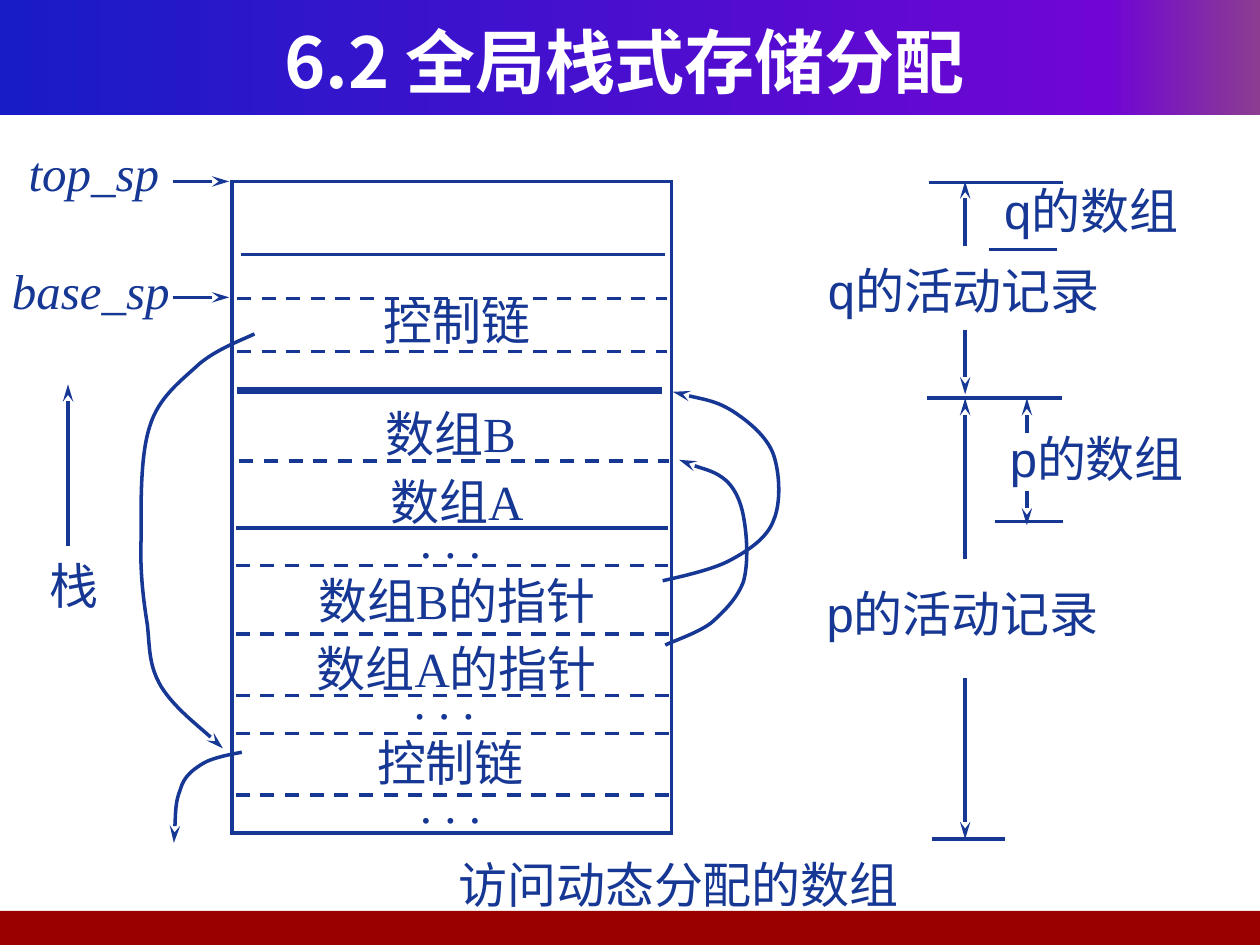
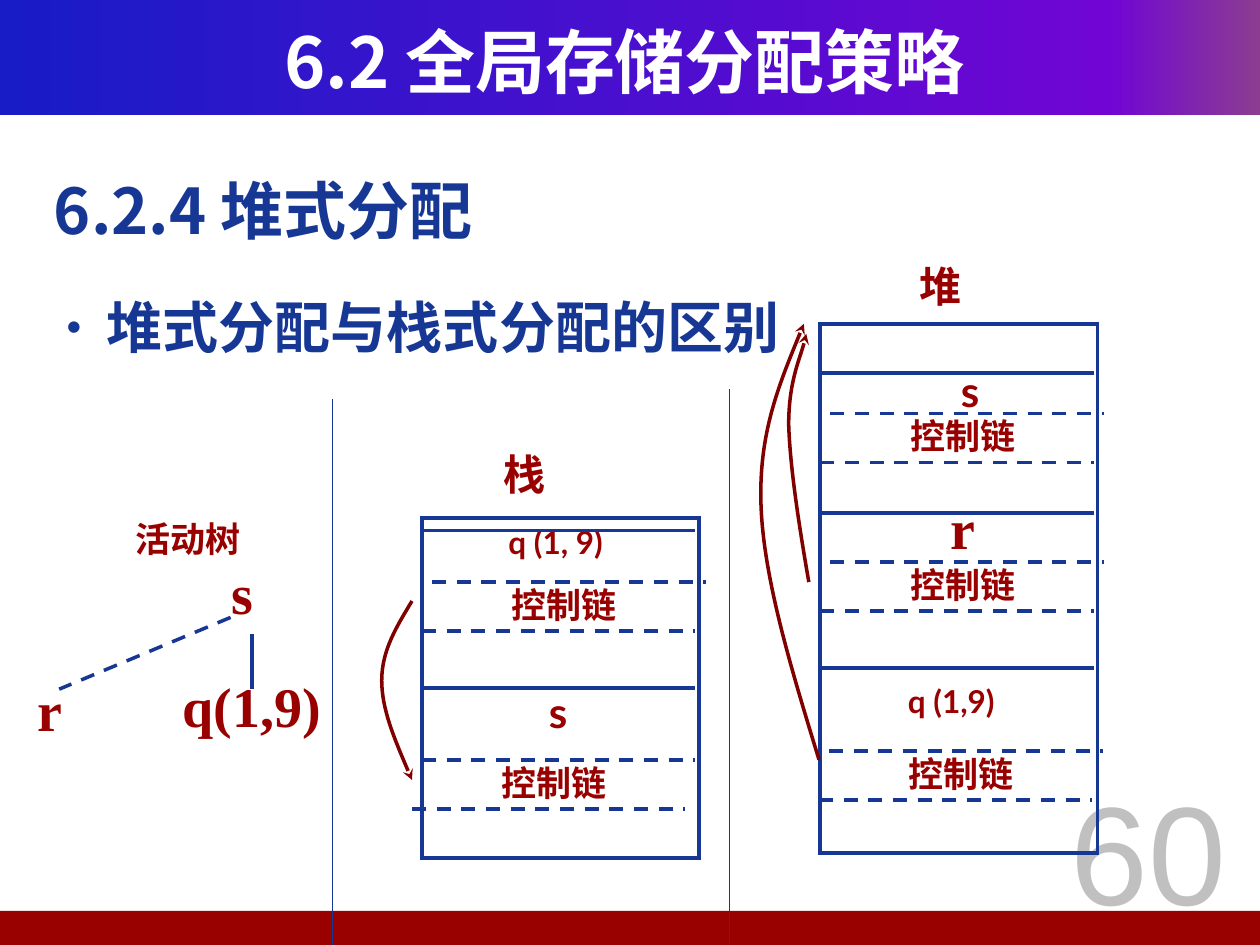
from copy import deepcopy

from lxml.etree import SubElement
from pptx import Presentation
from pptx.dml.color import RGBColor
from pptx.enum.dml import MSO_LINE_DASH_STYLE as Dash
from pptx.enum.shapes import MSO_CONNECTOR as Connector, MSO_SHAPE as Preset
from pptx.enum.text import MSO_ANCHOR as Anchor, PP_ALIGN as Align
from pptx.oxml.ns import qn
from pptx.util import Cm, Pt

BLUE, RED, MAROON = "163794", "990000", "800000"
WHITE, SILVER = "FFFFFF", "C0C0C0"
BAND = [(0, "181CC7"), (0.88, "7005D4"), (1, "8C3D91")]
SANS, LATO, TIMES, ARIAL = "Noto Sans CJK SC", "Lato", "Times New Roman", "Arial"
LINK_WIDTH, LINK_HEIGHT, LINK_SHIFT = 2.17, 0.39, 0.08


def inch(value):
    """Return a length given in inches."""
    return Cm(value * 2.54)


def rgb(value):
    """Return the colour of a hex string."""
    return RGBColor.from_string(value)


class Deck:
    """Hold the shared style and the current slide."""

    def __init__(self):
        """Create an empty presentation of 10 by 7.5 inches."""
        self.presentation = Presentation()
        self.presentation.slide_width = inch(10)
        self.presentation.slide_height = inch(7.5)
        self.slide = None
        self.arrow_length = "med"

    def add_slide(self, title, arrow_length):
        """Start a slide with the title band and the footer bar."""
        self.slide = self.presentation.slides.add_slide(self.presentation.slide_layouts[6])
        self.arrow_length = arrow_length
        band = self.box(0, 0, 10, 0.91)
        band.line.fill.background()
        band.fill.gradient()
        band.fill.gradient_angle = 0
        stops = band._element.spPr.find(".//" + qn("a:gsLst"))
        stops.append(deepcopy(stops[-1]))
        for stop, (position, color) in zip(band.fill.gradient_stops, BAND):
            stop.position = position
            stop.color.rgb = rgb(color)
        footer = self.box(-0.04, 7.23, 10.04, 0.27)
        footer.line.fill.background()
        footer.fill.solid()
        footer.fill.fore_color.rgb = rgb(RED)
        heading = self.text(title, 0.33, 0.17, 9.25, 0.62, 40, SANS, WHITE, bold=True)
        heading.text_frame.vertical_anchor = Anchor.MIDDLE

    def box(self, left, top, width, height):
        """Add an unfilled rectangle with a sharp blue outline."""
        shape = self.slide.shapes.add_shape(
            Preset.RECTANGLE, *map(inch, (left, top, width, height)))
        shape.shadow.inherit = False
        shape.fill.background()
        self.stroke(shape, BLUE, 2)
        SubElement(shape.line._get_or_add_ln(), qn("a:miter"), lim="800000")
        return shape

    def stroke(self, shape, color, weight, dashed=False, arrow=False):
        """Format the line of a shape or connector."""
        shape.line.color.rgb = rgb(color)
        shape.line.width = Pt(weight)
        if dashed:
            shape.line.dash_style = Dash.DASH
        if arrow:
            SubElement(shape.line._get_or_add_ln(), qn("a:tailEnd"), type="stealth",
                       w="med", len=self.arrow_length)

    def line(self, x1, y1, x2, y2, weight=2, dashed=False, arrow=False):
        """Add a straight blue connector."""
        connector = self.slide.shapes.add_connector(
            Connector.STRAIGHT, *map(inch, (x1, y1, x2, y2)))
        self.stroke(connector, BLUE, weight, dashed, arrow)
        SubElement(connector._element.spPr, qn("a:effectLst"))

    def curve(self, points, color=BLUE):
        """Add a curved arrow, three points to each cubic segment."""
        corners = [tuple(map(inch, point)) for point in points]
        builder = self.slide.shapes.build_freeform(*corners[0])
        builder.add_line_segments(corners[1:], close=False)
        shape = builder.convert_to_shape()
        outline = shape._element.spPr.find(".//" + qn("a:path" + "Lst"))[0]
        segments = outline.findall(qn("a:lnTo"))
        for index in range(0, len(segments), 3):
            cubic = SubElement(outline, qn("a:cubicBezTo"))
            for segment in segments[index:index + 3]:
                cubic.append(segment[0])
                outline.remove(segment)
        shape.shadow.inherit = False
        shape.fill.background()
        self.stroke(shape, color, 2, arrow=True)

    def text(self, words, left, top, width, height, size=28, font=TIMES, color=BLUE,
             bold=False, italic=False, align=Align.CENTER, inset=0.05):
        """Add a wrapped one-paragraph text box."""
        shape = self.slide.shapes.add_textbox(*map(inch, (left, top, width, height)))
        frame = shape.text_frame
        frame.word_wrap = True
        frame.margin_left = frame.margin_right = inch(0.1)
        frame.margin_top, frame.margin_bottom = inch(inset), inch(0.05)
        frame.text = words
        paragraph = frame.paragraphs[0]
        paragraph.alignment = align
        for run in paragraph.runs:
            run.font.size, run.font.name = Pt(size), font
            run.font.bold, run.font.italic = bold, italic
            run.font.color.rgb = rgb(color)
            SubElement(run.font._element, qn("a:ea"), typeface=SANS)
        return shape

    def bullet(self, words, left, top, width, height, size):
        """Add a bold line with a smaller bullet."""
        shape = self.text(words, left, top, width, height, size, SANS, bold=True,
                          align=Align.LEFT)
        paragraph = shape.text_frame.paragraphs[0]
        paragraph.line_spacing = 0.9
        properties = paragraph._p.get_or_add_pPr()
        properties.set("marL", str(inch(0.32)))
        properties.set("indent", str(-inch(0.32)))
        SubElement(properties, qn("a:buSzPct"), val="75000")
        SubElement(properties, qn("a:buFont"), typeface=ARIAL)
        SubElement(properties, qn("a:buChar"), char="•")

    def label(self, words, left, top, height=0.47, size=20, font=LATO):
        """Add a bold red centred cell label."""
        self.text(words, left, top, 2.1, height, size, font, RED, bold=True, inset=0.09)

    def caption(self, words, left, top, width, height, size, font):
        """Add a bold red left-aligned caption."""
        self.text(words, left, top, width, height, size, font, RED, bold=True,
                  align=Align.LEFT)

    def control_link(self, left, top):
        """Add a control link cell between two dashed lines."""
        self.label("控制链", left, top - 0.08, font=TIMES)
        for x, y in ((left, top), (left - LINK_SHIFT, top + LINK_HEIGHT)):
            self.line(x, y, x + LINK_WIDTH, y, dashed=True)


def build_dynamic_arrays(deck):
    """Build the slide on access to dynamically allocated arrays."""
    deck.add_slide("6.2 全局栈式存储分配", "lg")
    deck.text("访问动态分配的数组", 1.99, 6.73, 6.79, 0.56, font=ARIAL)

    for left, right, y in ((7.37, 8.44, 1.45), (7.85, 8.39, 1.98), (7.36, 8.43, 3.16),
                           (7.9, 8.44, 4.14), (7.4, 7.98, 6.66)):
        deck.line(left, y, right, y)
    for words, left, top, width, height in (("q的数组", 7.7, 1.34, 1.92, 0.54),
                                            ("q的活动记录", 6.43, 1.98, 2.44, 0.54),
                                            ("p的数组", 7.71, 3.31, 1.99, 0.54),
                                            ("p的活动记录", 6.43, 4.54, 2.42, 0.6)):
        deck.text(words, left, top, width, height, font=ARIAL, inset=0.09)
    for x, start, end in ((7.66, 1.95, 1.44), (7.66, 2.62, 3.13), (7.66, 4.44, 3.16),
                          (7.66, 5.38, 6.66), (8.15, 3.44, 3.16), (8.15, 3.9, 4.17),
                          (0.54, 4.33, 3.05)):
        deck.line(x, start, x, end, arrow=True)

    deck.box(1.84, 1.44, 3.49, 5.17)
    for words, left, top, height in (("控制链", 1.87, 2.22, 0.54), ("数组B", 1.82, 3.11, 0.58),
                                     ("数组A", 1.87, 3.65, 0.58), (". . .", 1.82, 3.95, 0.54),
                                     ("数组B的指针", 1.87, 4.44, 0.58),
                                     ("数组A的指针", 1.87, 4.98, 0.58),
                                     (". . .", 1.77, 5.23, 0.54), ("控制链", 1.82, 5.72, 0.54),
                                     (". . .", 1.82, 6.06, 0.54)):
        deck.text(words, left, top, 3.51, height, inset=0.09)
    for left, right, rows in ((1.88, 5.29, (2.37, 2.79)), (1.9, 5.31, (3.66,)),
                              (1.87, 5.3, (4.49,)), (1.87, 5.33, (5.03, 5.52, 5.82, 6.31))):
        for y in rows:
            deck.line(left, y, right, y, dashed=True)
    deck.line(1.91, 2.02, 5.28, 2.02)
    deck.line(1.88, 3.1, 5.25, 3.1, weight=4)
    deck.line(1.87, 4.19, 5.3, 4.19)

    for words, left, top, width, y in (("top_sp", 0.08, 1.04, 1.33, 1.44),
                                       ("base_sp", -0.02, 1.98, 1.48, 2.36)):
        deck.text(words, left, top, width, 0.54, italic=True, inset=0.09)
        deck.line(1.37, y, 1.82, y, arrow=True)
    deck.text("栈", 0.19, 4.32, 0.79, 0.54, inset=0.09)

    control_chain = [
        (2.02, 2.65), (1.94, 2.69), (1.72, 2.77), (1.58, 2.89), (1.44, 3.02), (1.26, 3.15),
        (1.19, 3.38), (1.11, 3.62), (1.12, 4.02), (1.12, 4.28), (1.11, 4.55), (1.14, 4.77),
        (1.17, 4.96), (1.19, 5.15), (1.18, 5.28), (1.28, 5.45), (1.38, 5.61), (1.67, 5.84),
        (1.77, 5.94)]
    outer_chain = [
        (1.92, 5.97), (1.87, 5.98), (1.69, 6.01), (1.61, 6.06), (1.53, 6.11), (1.46, 6.16),
        (1.43, 6.27), (1.39, 6.37), (1.39, 6.6), (1.38, 6.69)]
    pointer_a = [
        (5.28, 5.12), (5.34, 5.09), (5.55, 5.02), (5.65, 4.94), (5.75, 4.85), (5.85, 4.75),
        (5.9, 4.62), (5.94, 4.48), (5.93, 4.28), (5.91, 4.15), (5.89, 4.01), (5.85, 3.9),
        (5.77, 3.82), (5.68, 3.74), (5.47, 3.69), (5.39, 3.65)]
    pointer_b = [
        (5.26, 4.61), (5.34, 4.59), (5.64, 4.53), (5.79, 4.45), (5.94, 4.37), (6.09, 4.27),
        (6.14, 4.13), (6.2, 3.99), (6.19, 3.76), (6.14, 3.61), (6.09, 3.47), (5.95, 3.35),
        (5.81, 3.26), (5.68, 3.18), (5.44, 3.14), (5.34, 3.11)]
    for points in (control_chain, outer_chain, pointer_a, pointer_b):
        deck.curve(points)


def build_heap_allocation(deck):
    """Build the slide that compares heap and stack allocation."""
    deck.add_slide("6.2 全局存储分配策略", "med")
    deck.text("6.2.4 堆式分配", 0.33, 1.31, 9.33, 0.91, 36, SANS, bold=True, align=Align.LEFT)
    deck.text("60", 8.23, 6.03, 1.77, 1.42, 80, ARIAL, SILVER)
    deck.bullet("堆式分配与栈式分配的区别", 0.43, 2.33, 6.54, 0.79, 32)

    for words, left, top, width, height in (("s", 1.74, 4.38, 0.72, 0.67),
                                            ("q(1,9)", 1.35, 5.28, 1.41, 0.78),
                                            ("r", 0.2, 5.31, 0.72, 0.67)):
        deck.caption(words, left, top, width, height, 32, TIMES)
    deck.line(2, 5.03, 2, 5.47)
    deck.line(1.83, 4.9, 0.47, 5.47, dashed=True)
    deck.caption("活动树", 0.98, 4.06, 1.1, 0.43, 20, LATO)
    for x, top, bottom in ((2.64, 3.17, 7.5), (5.79, 3.09, 7.5), (5.79, 2.73, 2.73)):
        deck.line(x, top, x, bottom, weight=0.75)

    deck.caption("栈", 3.9, 3.51, 0.95, 0.5, 24, LATO)
    deck.box(3.35, 4.11, 2.2, 2.7)
    deck.label("q (1, 9)", 3.36, 4.06, 0.77, 18)
    deck.label("s", 3.38, 5.36, 0.77, 24)
    deck.control_link(3.43, 4.62)
    deck.control_link(3.35, 6.03)

    deck.caption("堆", 7.2, 2.02, 0.95, 0.5, 24, LATO)
    deck.box(6.51, 2.57, 2.2, 4.2)
    deck.label("s", 6.65, 2.81, 0.39, 24)
    deck.label("r", 6.59, 3.83, 0.77, 32, TIMES)
    deck.label("q (1,9)", 6.5, 5.32, size=18)
    for x, y in ((6.59, 3.28), (6.59, 4.46), (6.58, 5.96)):
        deck.control_link(x, y)
    for left, y in ((3.35, 4.21), (3.35, 5.46), (6.51, 2.96), (6.51, 4.07), (6.51, 5.3)):
        deck.line(left, y, left + LINK_WIDTH, y)

    stack_chain = [(3.27, 4.77), (3.15, 4.97), (3.03, 5.16), (3.03, 5.4), (3.03, 5.63),
                   (3.15, 5.91), (3.27, 6.19)]
    heap_chain_r = [(6.42, 4.62), (6.34, 4.16), (6.27, 3.7), (6.26, 3.37), (6.26, 3.04),
                    (6.38, 2.77), (6.4, 2.65)]
    heap_chain_q = [(6.5, 6.03), (6.28, 5.31), (6.06, 4.59), (6.04, 4.01), (6.02, 3.44),
                    (6.2, 3.01), (6.38, 2.57)]
    for points in (stack_chain, heap_chain_r, heap_chain_q):
        deck.curve(points, MAROON)


def main():
    """Build and save the presentation."""
    deck = Deck()
    build_dynamic_arrays(deck)
    build_heap_allocation(deck)
    deck.presentation.save("out.pptx")


if __name__ == "__main__":
    main()
